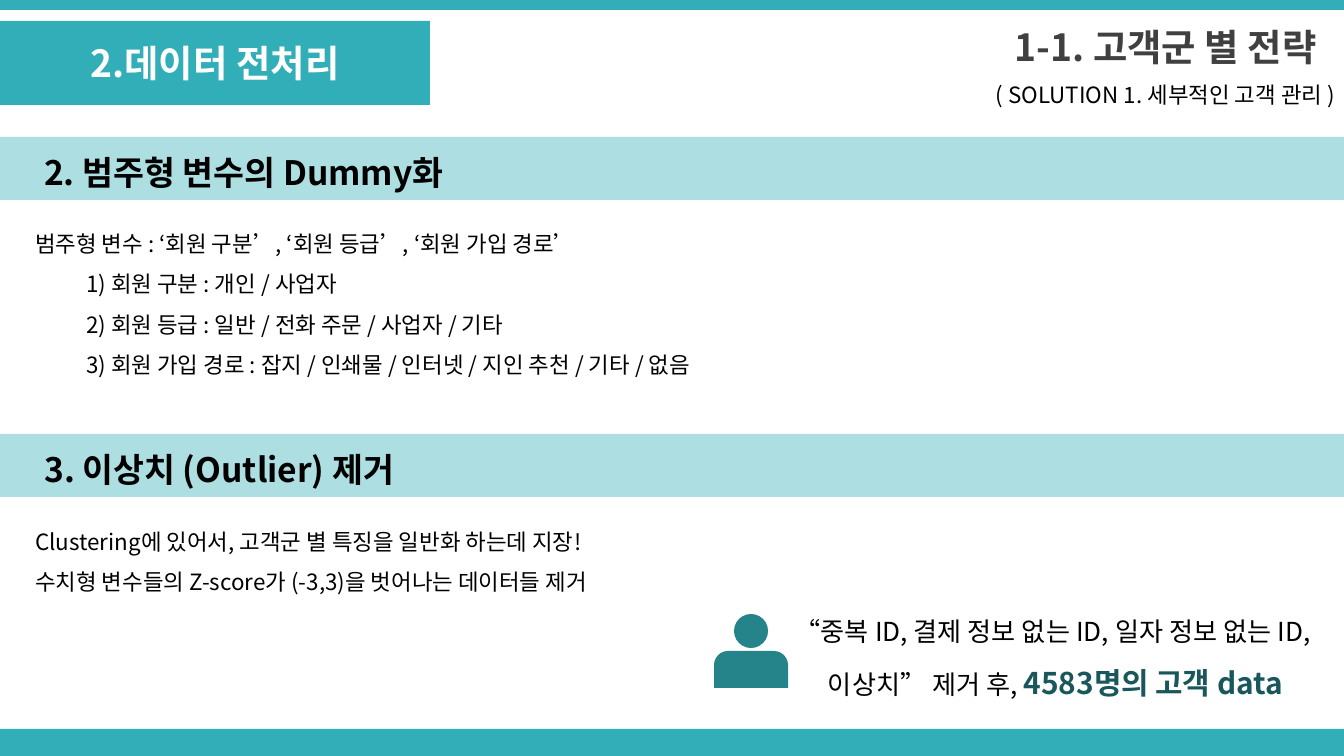
import pptx
import pptx.util
import pptx.dml.color
import pptx.enum.shapes
import pptx.enum.text
import pptx.oxml.ns
import lxml.etree

RGB = pptx.dml.color.RGBColor
SHAPE = pptx.enum.shapes.MSO_SHAPE
ALIGN = pptx.enum.text.PP_ALIGN
ANCHOR = pptx.enum.text.MSO_ANCHOR
qn = pptx.oxml.ns.qn

TEAL = RGB(0x32, 0xAE, 0xB8)
ICON = RGB(0x25, 0x83, 0x8A)
DEEP = RGB(0x19, 0x57, 0x5C)
GRAY = RGB(0x40, 0x40, 0x40)
BLACK = RGB(0, 0, 0)
WHITE = RGB(255, 255, 255)
FONT = "Noto Sans CJK KR"
PX = 914400 / 134.4

prs = pptx.Presentation()
prs.slide_width, prs.slide_height = round(1344 * PX), round(756 * PX)
s = prs.slides.add_slide(prs.slide_layouts[6])


def add_shape(kind, box, color, alpha=None):
    sp = s.shapes.add_shape(kind, *[round(v * PX) for v in box])
    sp.shadow.inherit = False
    sp.fill.solid()
    sp.fill.fore_color.rgb = color
    sp.line.fill.background()
    if alpha:
        clr = sp.fill._xPr.find(".//" + qn("a:srgbClr"))
        lxml.etree.SubElement(clr, qn("a:alpha")).set("val", str(alpha * 1000))
    return sp


def write(sp, text, size=12, color=BLACK, bold=False, align=ALIGN.LEFT,
          anchor=ANCHOR.TOP, spacing=None, hang=0, new=True):
    """Write text; a new paragraph by default, else onto the last one."""
    tf = sp.text_frame
    tf.word_wrap = True
    tf.vertical_anchor = anchor
    p = tf.paragraphs[-1]
    if new and p.runs:
        p = tf.add_paragraph()
    p.alignment = align
    if spacing:
        p.line_spacing = spacing
    if hang:
        pPr = p._p.get_or_add_pPr()
        pPr.set("marL", str(round(hang * PX)))
        pPr.set("indent", str(-round(hang * PX)))
    for i, line in enumerate(text.split("\n")):
        if i:
            p.add_line_break()
        r = p.add_run()
        r.text = line
        r.font.name = FONT
        r.font.size = pptx.util.Pt(size)
        r.font.bold = bold
        r.font.color.rgb = color
        ea = lxml.etree.SubElement(r.font._element, qn("a:ea"))
        ea.set("typeface", FONT)


# Top and bottom bars
add_shape(SHAPE.RECTANGLE, (0, 729, 1344, 27), TEAL)
add_shape(SHAPE.RECTANGLE, (0, 0, 1344, 10), TEAL)

# Section tag
sp = add_shape(SHAPE.RECTANGLE, (0, 21, 430, 84), TEAL)
write(sp, "2.데이터 전처리", size=20, color=WHITE, bold=True,
      align=ALIGN.CENTER, anchor=ANCHOR.MIDDLE)

# Heading bands
for y in (137, 434):
    add_shape(SHAPE.RECTANGLE, (0, y, 1344, 63), TEAL, alpha=40)

# Text boxes: box, paragraphs, format
title = dict(align=ALIGN.CENTER, anchor=ANCHOR.MIDDLE)
heading = dict(size=18, bold=True)
body = dict(spacing=1.5, hang=51)
texts = [
    ((945, 19, 441, 55), ["1-1. 고객군 별 전략"],
     dict(title, size=20, color=GRAY, bold=True)),
    ((945, 74, 441, 42), ["( SOLUTION 1. 세부적인 고객 관리 )"], title),
    ((31, 145, 661, 54), ["2. 범주형 변수의 Dummy화"], heading),
    ((31, 442, 1292, 54), ["3. 이상치 (Outlier) 제거"], heading),
    ((22, 210, 1302, 172),
     ["범주형 변수 : ‘회원 구분’, ‘회원 등급’, ‘회원 가입 경로’\n"
      "1) 회원 구분 : 개인 / 사업자\n"
      "2) 회원 등급 : 일반 / 전화 주문 / 사업자 / 기타\n"
      "3) 회원 가입 경로 : 잡지 / 인쇄물 / 인터넷 / 지인 추천 / 기타 / 없음"], body),
    ((22, 508, 1302, 95),
     ["Clustering에 있어서, 고객군 별 특징을 일반화 하는데 지장!",
      "수치형 변수들의 Z-score가 (-3,3)을 벗어나는 데이터들 제거"], body),
]
for box, paragraphs, style in texts:
    sp = s.shapes.add_textbox(*[round(v * PX) for v in box])
    for text in paragraphs:
        write(sp, text, **style)

# Result with emphasised count
sp = s.shapes.add_textbox(*[round(v * PX) for v in (735, 593, 641, 110)])
result = dict(align=ALIGN.CENTER, spacing=1.5)
write(sp, "“중복 ID, 결제 정보 없는 ID, 일자 정보 없는 ID, \n이상치” 제거 후, ",
      size=14, **result)
write(sp, "4583명의 고객 data", size=16, color=DEEP, bold=True, new=False, **result)

# Person icon
add_shape(SHAPE.OVAL, (734, 614, 34, 34), ICON)
sp = add_shape(SHAPE.ROUND_2_SAME_RECTANGLE, (714, 651, 74, 37), ICON)
sp.adjustments[0] = 0.38

prs.save("out.pptx")
